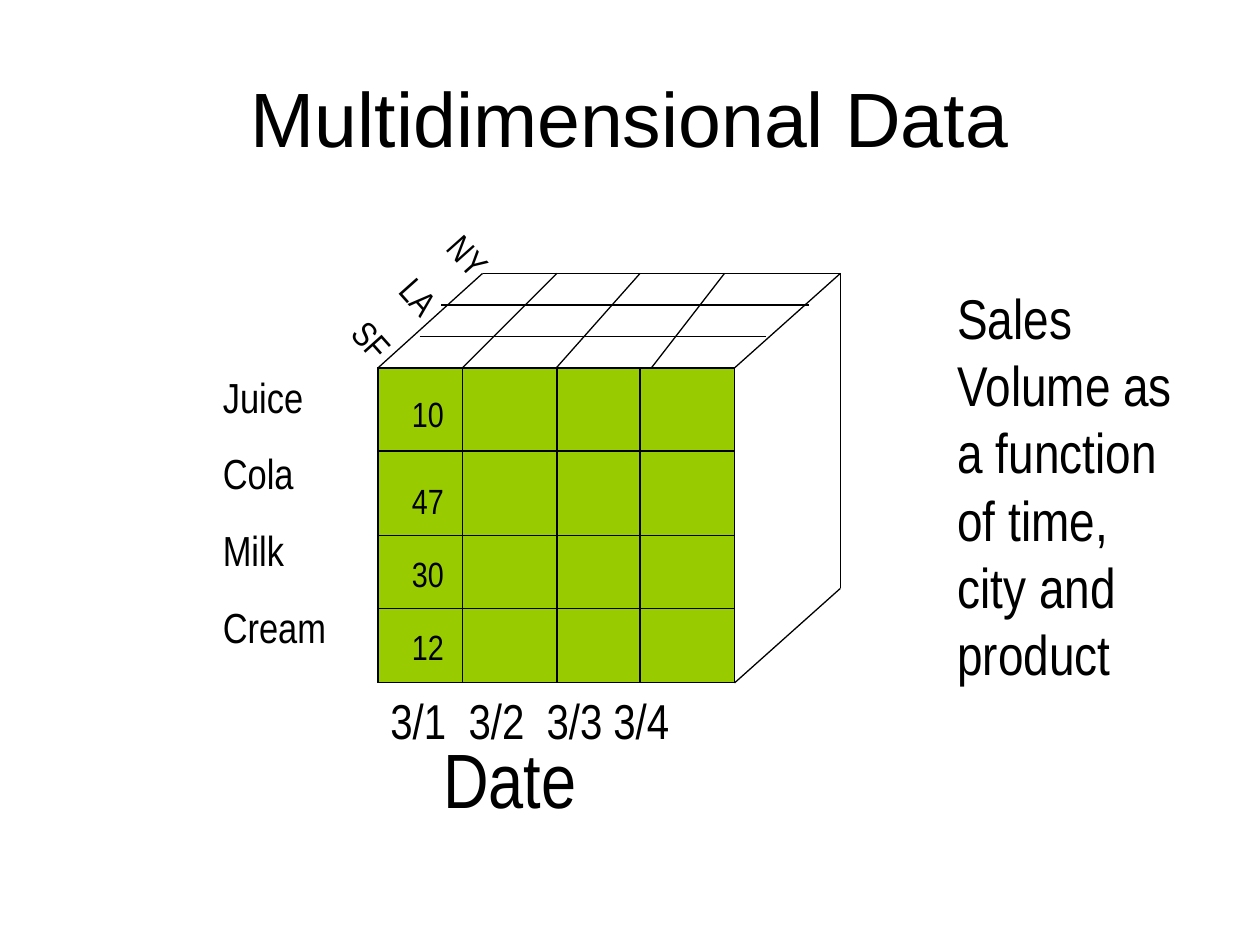
from dataclasses import dataclass

from lxml import etree
from pptx import Presentation
from pptx.dml.color import RGBColor
from pptx.enum.shapes import MSO_CONNECTOR, MSO_SHAPE
from pptx.enum.text import MSO_ANCHOR, MSO_AUTO_SIZE, PP_ALIGN
from pptx.oxml.ns import qn
from pptx.util import Inches, Pt

BLACK = RGBColor(0x00, 0x00, 0x00)
GREEN = RGBColor(0x99, 0xCC, 0x00)
RECTANGLE = MSO_SHAPE.RECTANGLE
STRAIGHT = MSO_CONNECTOR.STRAIGHT
MIDDLE, BOTTOM = MSO_ANCHOR.MIDDLE, MSO_ANCHOR.BOTTOM
LEFT, CENTER = PP_ALIGN.LEFT, PP_ALIGN.CENTER
NO_AUTOFIT = MSO_AUTO_SIZE.NONE
NARROW = "Arial Narrow"
LINE_WIDTH = Pt(0.75)

# Cube geometry in inches
FRONT_LEFT, FRONT_RIGHT = 3, 5.83
FRONT_TOP, FRONT_BOTTOM = 2.92, 5.42
BACK_LEFT, BACK_RIGHT = 3.83, 6.67
BACK_TOP, BACK_BOTTOM = 2.17, 4.67
COLUMN_1, COLUMN_2, COLUMN_3 = 3.67, 4.42, 5.08
ROW_1, ROW_2, ROW_3 = 3.58, 4.25, 4.83


@dataclass
class Box:
    left: float
    top: float
    right: float
    bottom: float


@dataclass
class Edge:
    start: tuple[float, float]
    end: tuple[float, float]


@dataclass
class Label:
    left: float
    top: float
    width: float
    height: float
    lines: tuple[str, ...]
    size: float
    space_before: float = 0
    rotation: float = 0
    font: str = NARROW
    anchor: MSO_ANCHOR = BOTTOM
    align: PP_ALIGN = LEFT
    tabs: tuple[float, ...] = ()


# Blocks of cells on the front face
CELL_BLOCKS = [
    Box(FRONT_LEFT, FRONT_TOP, COLUMN_2, FRONT_BOTTOM),
    Box(FRONT_LEFT, FRONT_TOP, FRONT_RIGHT, ROW_2),
    Box(COLUMN_1, ROW_1, COLUMN_3, ROW_3),
    Box(FRONT_LEFT, ROW_1, FRONT_RIGHT, ROW_3),
]

EDGES = [
    # Outer edges
    Edge((BACK_RIGHT, BACK_TOP), (FRONT_RIGHT, FRONT_TOP)),
    Edge((BACK_LEFT, BACK_TOP), (FRONT_LEFT, FRONT_TOP)),
    Edge((BACK_RIGHT, BACK_BOTTOM), (FRONT_RIGHT, FRONT_BOTTOM)),
    Edge((BACK_LEFT, BACK_TOP), (BACK_RIGHT, BACK_TOP)),
    Edge((BACK_RIGHT, BACK_TOP), (BACK_RIGHT, BACK_BOTTOM)),
    # Front columns
    Edge((COLUMN_1, FRONT_TOP), (COLUMN_1, FRONT_BOTTOM)),
    Edge((COLUMN_3, FRONT_TOP), (COLUMN_3, FRONT_BOTTOM)),
    # Top face
    Edge((3.33, 2.67), (6.08, 2.67)),
    Edge((3.5, 2.42), (6.42, 2.42)),
    Edge((COLUMN_1, FRONT_TOP), (4.42, BACK_TOP)),
    Edge((5.17, FRONT_TOP), (5.75, BACK_TOP)),
]

SALES = {"10": 3.06, "47": 3.75, "30": 4.33, "12": 4.91}

LABELS = [
    Label(0.5, 0.3, 9, 1.25, ("Multidimensional Data",), 44,
          font="Arial", anchor=MIDDLE, align=CENTER),
    *(Label(3.17, top, 0.67, 0.44, (value,), 20) for value, top in SALES.items()),
    Label(1.67, 2.49, 1.17, 2.73, ("Juice", "Cola", "Milk", "Cream"), 24, space_before=15),
    Label(2.91, 2.03, 1.56, 1.45, ("NY", "LA", "SF"), 20, space_before=12.5, rotation=48.2),
    Label(7.5, 1.13, 1.92, 4.37,
          ("Sales Volume as a function of time, city and product",), 32),
    Label(3, 4.96, 2.75, 1.04, ("3/1\t3/2\t3/3\t3/4",), 28, tabs=(0.62, 1.24, 1.77)),
    Label(3.42, 5.75, 1.92, 0.84, ("Date",), 44),
]


def add_box(slide, box: Box, fill: RGBColor | None = None):
    shape = slide.shapes.add_shape(
        RECTANGLE, Inches(box.left), Inches(box.top),
        Inches(box.right - box.left), Inches(box.bottom - box.top))
    shape.shadow.inherit = False
    if fill is None:
        shape.fill.background()
    else:
        shape.fill.solid()
        shape.fill.fore_color.rgb = fill
    shape.line.color.rgb = BLACK
    shape.line.width = LINE_WIDTH
    return shape


def add_edge(slide, edge: Edge):
    connector = slide.shapes.add_connector(
        STRAIGHT, *(Inches(value) for value in (*edge.start, *edge.end)))
    connector.line.color.rgb = BLACK
    connector.line.width = LINE_WIDTH
    etree.SubElement(connector._element.spPr, qn("a:effectLst"))
    return connector


def add_label(slide, label: Label) -> None:
    shape = slide.shapes.add_textbox(
        Inches(label.left), Inches(label.top), Inches(label.width), Inches(label.height))
    shape.rotation = label.rotation
    frame = shape.text_frame
    frame.word_wrap = True
    frame.auto_size = NO_AUTOFIT
    frame.vertical_anchor = label.anchor
    for index, line in enumerate(label.lines):
        paragraph = frame.paragraphs[0] if index == 0 else frame.add_paragraph()
        paragraph.alignment = label.align
        if index:
            paragraph.space_before = Pt(label.space_before)
        if label.tabs:
            properties = paragraph._p.get_or_add_pPr()
            tab_list = etree.SubElement(properties, qn("a:tabLst"))
            for position in label.tabs:
                etree.SubElement(tab_list, qn("a:tab"), pos=str(Inches(position)), algn="l")
        run = paragraph.add_run()
        run.text = line
        run.font.name = label.font
        run.font.size = Pt(label.size)
        run.font.color.rgb = BLACK


def main() -> None:
    presentation = Presentation()
    presentation.slide_width = Inches(10)
    presentation.slide_height = Inches(7.5)
    slide = presentation.slides.add_slide(presentation.slide_layouts[6])

    # Cube
    front = add_box(slide, Box(FRONT_LEFT, FRONT_TOP, FRONT_RIGHT, FRONT_BOTTOM), GREEN)
    for block in CELL_BLOCKS:
        add_box(slide, block)
    for edge in EDGES:
        add_edge(slide, edge)
    middle_edge = add_edge(slide, Edge((COLUMN_3, BACK_TOP), (COLUMN_2, FRONT_TOP)))
    middle_edge.end_connect(front, 0)

    # Title, cell values and axis labels
    for label in LABELS:
        add_label(slide, label)

    presentation.save("out.pptx")


if __name__ == "__main__":
    main()
